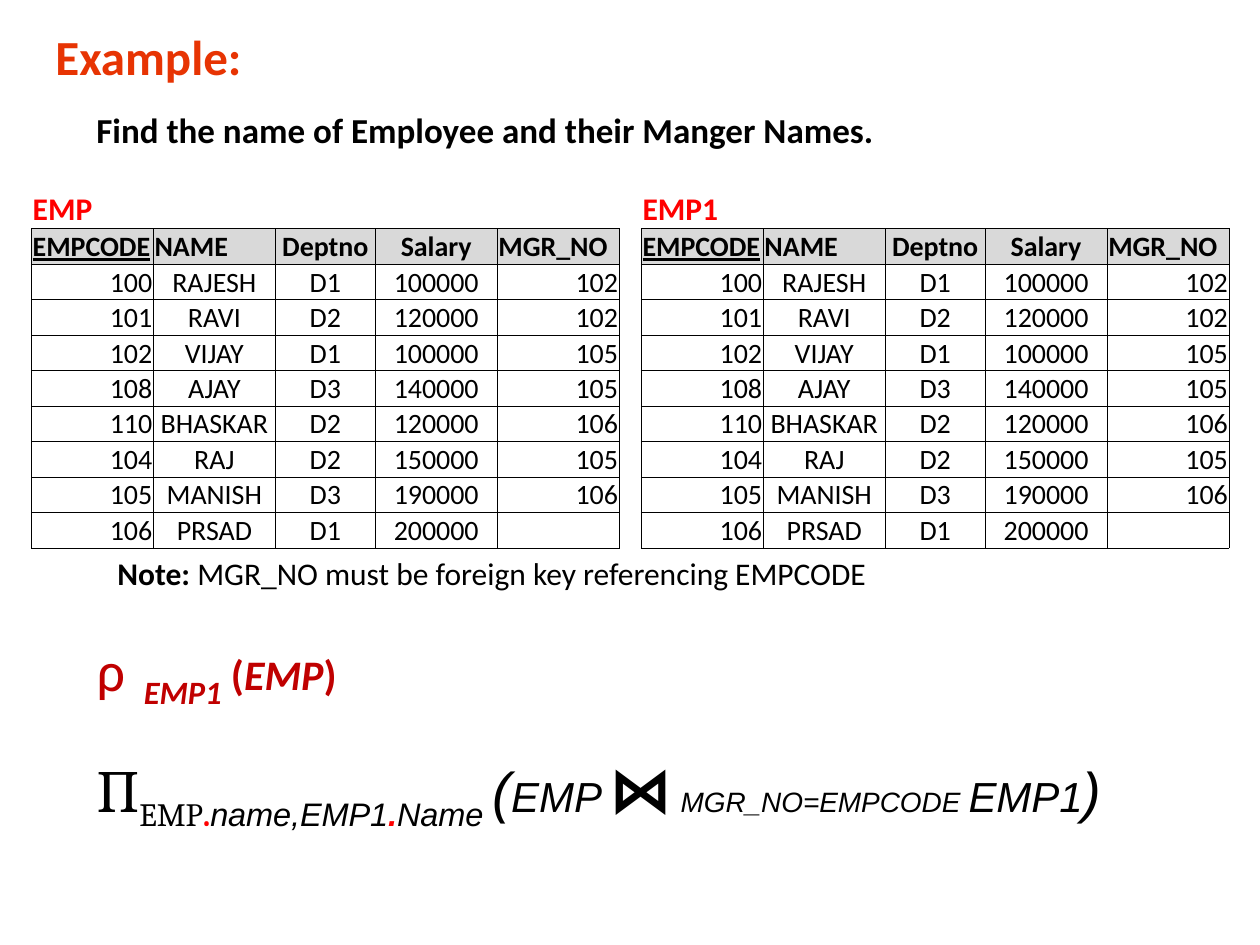
from lxml import etree
from pptx import Presentation
from pptx.dml.color import RGBColor
from pptx.enum import text as t
from pptx.oxml import ns
from pptx.util import Pt

COLORS = {"black": "000000", "red": "FF0000", "dark_red": "C00000",
          "orange": "E73403", "header": "D9D9D9"}
LEFT, CENTER, RIGHT = t.PP_ALIGN.LEFT, t.PP_ALIGN.CENTER, t.PP_ALIGN.RIGHT

HEADERS = ["EMPCODE", "NAME", "Deptno", "Salary", "MGR_NO"]
EMPLOYEES = [
    ["100", "RAJESH", "D1", "100000", "102"],
    ["101", "RAVI", "D2", "120000", "102"],
    ["102", "VIJAY", "D1", "100000", "105"],
    ["108", "AJAY", "D3", "140000", "105"],
    ["110", "BHASKAR", "D2", "120000", "106"],
    ["104", "RAJ", "D2", "150000", "105"],
    ["105", "MANISH", "D3", "190000", "106"],
    ["106", "PRSAD", "D1", "200000", ""],
]
COLUMN_WIDTHS = [69.7, 69.7, 57.1, 69.7, 69.7]
HEADER_ALIGNMENTS = [LEFT, LEFT, CENTER, CENTER, LEFT]
DATA_ALIGNMENTS = [RIGHT, CENTER, CENTER, CENTER, RIGHT]


def rgb(name):
    return RGBColor.from_string(COLORS[name])


def set_font(font, size, color="black", name="Calibri", bold=False, italic=False):
    font.size, font.name, font.bold, font.italic = Pt(size), name, bold, italic
    font.color.rgb = rgb(color)


def add_run(paragraph, words, size, subscript=False, **style):
    run = paragraph.add_run()
    run.text = words
    set_font(run.font, size, **style)
    if subscript:
        run.font._element.set("baseline", "-25000")


def place(shape, left, top, width, height, wrap=True):
    """Position a text shape and return its first paragraph."""
    shape.left, shape.top, shape.width, shape.height = map(Pt, (left, top, width, height))
    frame = shape.text_frame
    frame.word_wrap = wrap
    frame.auto_size = t.MSO_AUTO_SIZE.NONE
    frame.vertical_anchor = t.MSO_ANCHOR.TOP
    return frame.paragraphs[0]


def add_text_box(slide, *box):
    return place(slide.shapes.add_textbox(0, 0, 0, 0), *box)


def set_bullet(paragraph, character=None, indent=0):
    properties = paragraph._p.get_or_add_pPr()
    properties.set("marL", str(Pt(indent)))
    properties.set("indent", str(-Pt(indent)))
    if character:
        etree.SubElement(properties, ns.qn("a:buFont"), typeface="Calibri")
        etree.SubElement(properties, ns.qn("a:buChar"), char=character)
    else:
        etree.SubElement(properties, ns.qn("a:buNone"))


def set_borders(cell, visible):
    properties = cell._tc.get_or_add_tcPr()
    for side in "LRTB":
        line = etree.SubElement(properties, ns.qn("a:ln" + side), w=str(Pt(0.5)))
        if side in visible:
            fill = etree.SubElement(line, ns.qn("a:solidFill"))
            etree.SubElement(fill, ns.qn("a:srgbClr"), val=COLORS["black"])
        else:
            etree.SubElement(line, ns.qn("a:noFill"))


def format_cell(cell, words, alignment, size, borders="LRTB", fill=None, **style):
    cell.margin_left = cell.margin_right = cell.margin_top = Pt(0.7)
    cell.margin_bottom = 0
    cell.vertical_anchor = t.MSO_ANCHOR.BOTTOM
    set_borders(cell, borders)
    if fill:
        cell.fill.solid()
        cell.fill.fore_color.rgb = rgb(fill)
    else:
        cell.fill.background()
    paragraph = cell.text_frame.paragraphs[0]
    paragraph.alignment = alignment
    if words:
        add_run(paragraph, words, size, **style)
    else:  # keeps an empty cell from stretching its row
        etree.SubElement(paragraph._p, ns.qn("a:endParaRPr"), sz=str(size * 100))


def add_relation(slide, name, left):
    """Add a relation: a name row, a header row and the employees."""
    rows = [[name, "", "", "", ""], HEADERS, *EMPLOYEES]
    frame = slide.shapes.add_table(len(rows), len(HEADERS), Pt(left), Pt(108),
                                   Pt(sum(COLUMN_WIDTHS)), Pt(202))
    table = frame.table
    table.first_row = table.horz_banding = False
    for column, width in zip(table.columns, COLUMN_WIDTHS):
        column.width = Pt(width)
    for r, values in enumerate(rows):
        table.rows[r].height = Pt(20 if r else 22)
        for c, value in enumerate(values):
            cell = table.cell(r, c)
            if r == 0:
                format_cell(cell, value, LEFT, 18, borders="B", color="red", bold=True)
            elif r == 1:
                format_cell(cell, value, HEADER_ALIGNMENTS[c], 16, fill="header", bold=True)
            else:
                format_cell(cell, value, DATA_ALIGNMENTS[c], 16)
    # The key column is underlined
    table.cell(1, 0).text_frame.paragraphs[0].runs[0].font.underline = True


def add_formulas(body):
    # Rename
    rename = place(body, 48, 359, 660, 145)
    rename.space_before = Pt(0)
    set_bullet(rename, "ρ", 27)
    rename_style = dict(color="dark_red", bold=True)
    add_run(rename, "EMP1", 32, subscript=True, italic=True, **rename_style)
    add_run(rename, " (", 24, **rename_style)
    add_run(rename, "EMP", 24, italic=True, **rename_style)
    add_run(rename, ")", 24, **rename_style)

    # Projection of the join
    join = body.text_frame.add_paragraph()
    join.space_before = Pt(22)
    set_bullet(join)
    arial = dict(name="Arial", italic=True)
    red_dot = dict(color="red", bold=True, subscript=True)
    add_run(join, "Π", 32, name="Cambria")
    add_run(join, "EMP", 32, name="Cambria", subscript=True)
    add_run(join, ".", 32, name="Cambria", **red_dot)
    add_run(join, "name,EMP1", 32, subscript=True, **arial)
    add_run(join, ".", 32, **arial, **red_dot)
    add_run(join, "Name ", 32, subscript=True, **arial)
    add_run(join, "(", 32, **arial)
    add_run(join, "EMP", 24, **arial)
    add_run(join, " ", 16, **arial)
    add_run(join, "⋈", 36, bold=True)
    add_run(join, " MGR_NO=EMPCODE ", 16, **arial)
    add_run(join, "EMP1", 24, **arial)
    add_run(join, ")", 32, **arial)


def main():
    presentation = Presentation()
    presentation.slide_width, presentation.slide_height = Pt(720), Pt(540)
    slide = presentation.slides.add_slide(presentation.slide_layouts[1])
    title, body = slide.placeholders

    # Title and question
    heading = place(title, 24.5, 11.5, 122, 41, False)
    heading.text = "Example:"
    heading.alignment = LEFT
    set_font(heading.font, 28, "orange", bold=True)
    question = add_text_box(slide, 48, 58.3, 486, 32)
    question.text = "Find the name of Employee and their Manger Names."
    set_font(question.font, 20, bold=True)

    # Relations
    add_relation(slide, "EMP", 18)
    add_relation(slide, "EMP1", 366.5)

    # Note
    note = add_text_box(slide, 60, 313, 552, 29)
    add_run(note, "Note: ", 18, bold=True)
    add_run(note, "MGR_NO must be foreign key referencing EMPCODE", 18)

    # Relational algebra
    add_formulas(body)
    presentation.save("out.pptx")


if __name__ == "__main__":
    main()
